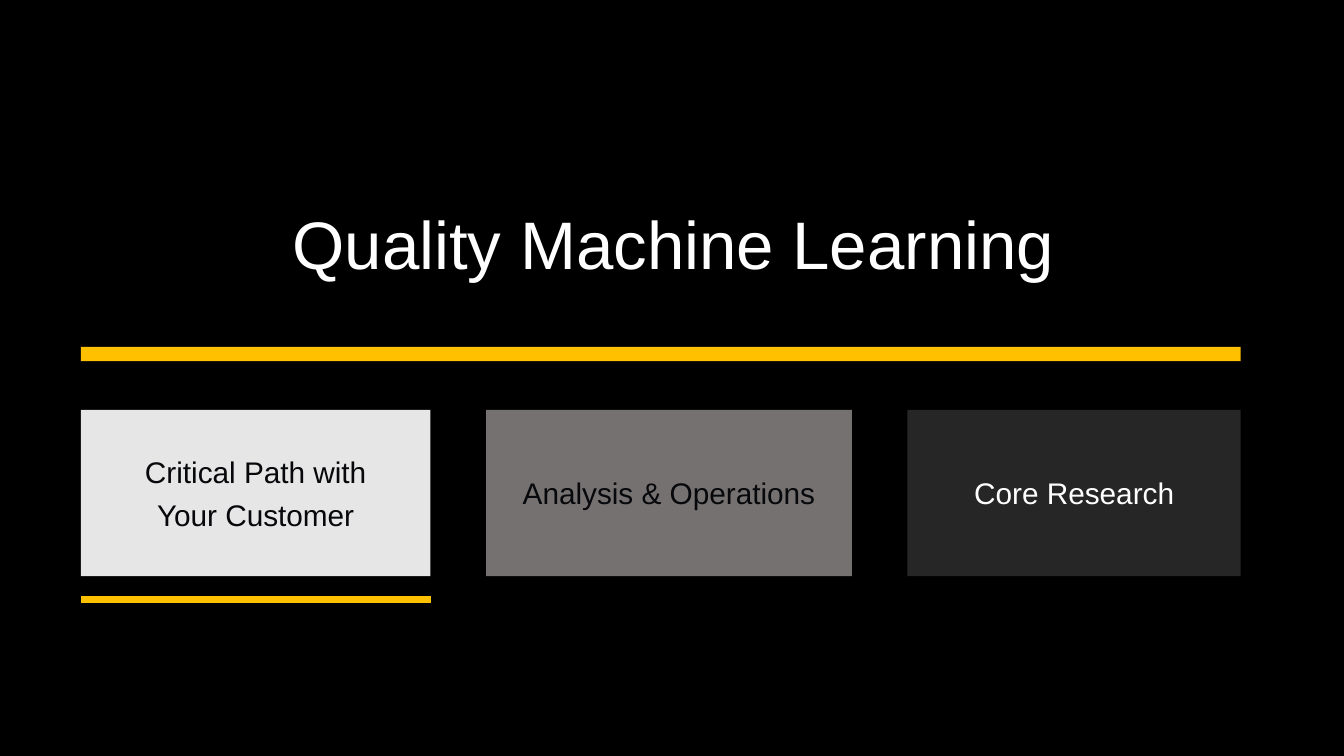
import pptx
import pptx.dml.color
import pptx.enum.shapes
import pptx.enum.text
import pptx.oxml
import pptx.oxml.ns
import pptx.util
from pptx.util import Cm

RGBColor = pptx.dml.color.RGBColor
BLACK = RGBColor(0x00, 0x00, 0x00)
WHITE = RGBColor(0xFF, 0xFF, 0xFF)
INK = RGBColor(0x07, 0x08, 0x0B)
LIGHT_GREY = RGBColor(0xE7, 0xE6, 0xE6)
MID_GREY = RGBColor(0x76, 0x71, 0x71)
DARK_GREY = RGBColor(0x26, 0x26, 0x26)
GOLD = RGBColor(0xFF, 0xC0, 0x00)

FONT = "Arial"
CARD_GAP = Cm(1.4)
CARDS = [
    (["Critical Path with", "Your Customer"], Cm(8.81), LIGHT_GREY, INK),
    (["Analysis & Operations"], Cm(9.22), MID_GREY, INK),
    (["Core Research"], Cm(8.4), DARK_GREY, WHITE),
]


def style_paragraph(para, size, color):
    para.alignment = pptx.enum.text.PP_ALIGN.CENTER
    para.font.name = FONT
    para.font.size = pptx.util.Pt(size)
    para.font.color.rgb = color


def add_title(page, left, top, width, height):
    title = page.shapes.title
    title.left, title.top, title.width, title.height = left, top, width, height
    frame = title.text_frame
    frame.auto_size = pptx.enum.text.MSO_AUTO_SIZE.NONE
    frame.vertical_anchor = pptx.enum.text.MSO_ANCHOR.TOP
    frame.text = "Quality Machine Learning"
    style_paragraph(frame.paragraphs[0], 48, WHITE)


def add_block(page, left, top, width, height, fill):
    block = page.shapes.add_shape(
        pptx.enum.shapes.MSO_SHAPE.RECTANGLE, left, top, width, height)
    block.shadow.inherit = False
    block.fill.solid()
    block.fill.fore_color.rgb = fill
    block.line.fill.background()
    return block


def add_cards(page, left, top, height):
    """Place the cards in a row, left to right, with equal gaps."""
    for lines, width, fill, text_color in CARDS:
        frame = add_block(page, left, top, width, height, fill).text_frame
        frame.word_wrap = True
        frame.vertical_anchor = pptx.enum.text.MSO_ANCHOR.MIDDLE
        for index, line in enumerate(lines):
            para = frame.add_paragraph() if index else frame.paragraphs[0]
            para.text = line
            style_paragraph(para, 21.3, text_color)
            if index:
                para.space_before = pptx.util.Pt(5.5)
        left += width + CARD_GAP


def add_underline(page, left, top, width):
    underline = page.shapes.add_connector(
        pptx.enum.shapes.MSO_CONNECTOR.STRAIGHT, left, top, left + width, top)
    underline.line.color.rgb = GOLD
    underline.line.width = pptx.util.Pt(4.5)
    properties = underline.element.spPr
    properties.append(properties.makeelement(pptx.oxml.ns.qn("a:effectLst"), {}))


def build_slide(deck):
    page = deck.slides.add_slide(deck.slide_layouts[5])
    page.background.fill.solid()
    page.background.fill.fore_color.rgb = BLACK

    left = Cm(2.04)
    widths = [width for _, width, _, _ in CARDS]
    row_width = sum(widths) + CARD_GAP * (len(widths) - 1)
    add_title(page, Cm(6.88), Cm(4.98), Cm(20.19), Cm(2.31))
    add_block(page, left, Cm(8.74), row_width, Cm(0.36), GOLD)
    add_cards(page, left, Cm(10.33), Cm(4.19))
    add_underline(page, left, Cm(15.11), widths[0])


def main():
    deck = pptx.Presentation()
    deck.slide_width = Cm(33.87)
    deck.slide_height = Cm(19.05)
    build_slide(deck)
    deck.save("out.pptx")


if __name__ == "__main__":
    main()
